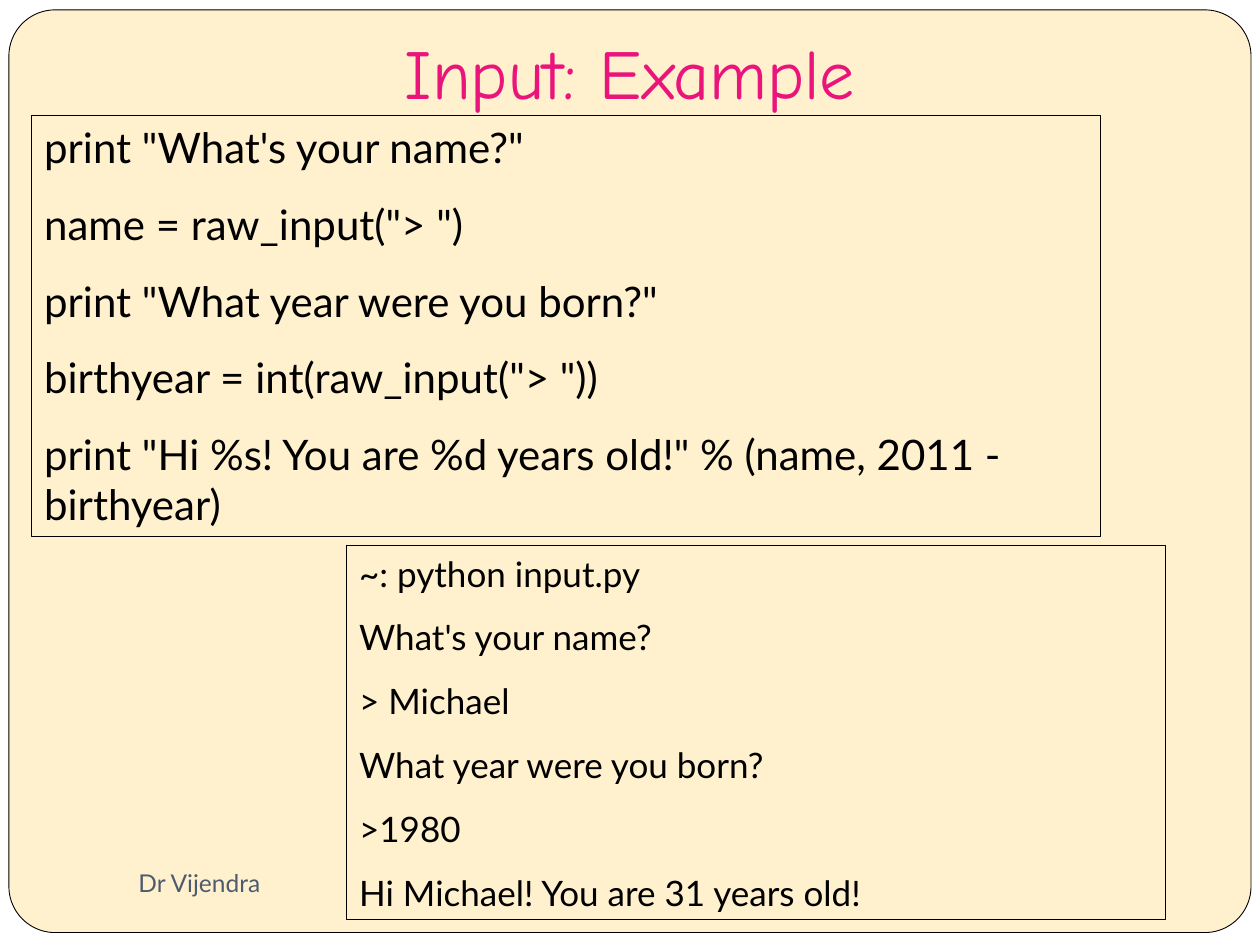
from pptx import Presentation
from pptx.dml.color import RGBColor
from pptx.enum.shapes import MSO_SHAPE as Shape
from pptx.enum.text import MSO_ANCHOR as Anchor, MSO_AUTO_SIZE as AutoSize, PP_ALIGN as Align
from pptx.util import Cm, Pt

WIDTH, HEIGHT = 25.4, 19.05
CREAM, WHITE, BLACK, PINK, SLATE = "FFF1CE", "FFFFFF", "000000", "EA157A", "4E5B6F"

TITLE = "Input: Example"
AUTHOR = "Dr Vijendra"
CODE = [
    'print "What\'s your name?"',
    'name = raw_input("> ")',
    'print "What year were you born?"',
    'birthyear = int(raw_input("> "))',
    'print "Hi %s! You are %d years old!" % (name, 2011 - birthyear)',
]
SESSION = [
    "~: python input.py",
    "What's your name?",
    "> Michael",
    "What year were you born?",
    ">1980",
    "Hi Michael! You are 31 years old!",
]


def color(value):
    return RGBColor.from_string(value)


def add_panel(page, kind, place, fill=None, line_width=None):
    panel = page.shapes.add_shape(kind, *map(Cm, place))
    panel.shadow.inherit = False
    if fill:
        panel.fill.solid()
        panel.fill.fore_color.rgb = color(fill)
    else:
        panel.fill.background()
    if line_width:
        panel.line.color.rgb = color(BLACK)
        panel.line.width = Pt(line_width)
    else:
        panel.line.fill.background()
    return panel


def write(box, lines, size, ink, font="Lato", align=Align.LEFT, anchor=Anchor.TOP, bottom=0.13, spacing=0.625):
    frame = box.text_frame
    frame.word_wrap = True
    frame.auto_size = AutoSize.NONE
    frame.vertical_anchor = anchor
    frame.margin_left = frame.margin_right = Cm(0.25)
    frame.margin_top, frame.margin_bottom = Cm(0.13), Cm(bottom)
    for index, line in enumerate(lines):
        para = frame.add_paragraph() if index else frame.paragraphs[0]
        para.alignment = align
        para.space_before = Pt(size * spacing)
        span = para.add_run()
        span.text = line
        span.font.name = font
        span.font.size = Pt(size)
        span.font.color.rgb = color(ink)


def main():
    deck = Presentation()
    deck.slide_width, deck.slide_height = Cm(WIDTH), Cm(HEIGHT)
    page = deck.slides.add_slide(deck.slide_layouts[6])
    page.background.fill.solid()
    page.background.fill.fore_color.rgb = color(CREAM)

    add_panel(page, Shape.RECTANGLE, (0, 0, WIDTH, HEIGHT), WHITE)
    card = add_panel(page, Shape.ROUNDED_RECTANGLE, (0.18, 0.2, 25.04, 18.6), CREAM, 0.5)
    card.adjustments[0] = 0.05

    title = page.shapes.add_textbox(Cm(1.9), Cm(0.64), Cm(21.6), Cm(1.9))
    write(title, [TITLE], 40, PINK, "Comic Neue", Align.CENTER, Anchor.BOTTOM, 0.25, 0)

    for lines, size, place in (
        (CODE, 24, (0.64, 2.33, 21.54, 8.48)),
        (SESSION, 20, (6.99, 11, 16.51, 7.54)),
    ):
        write(add_panel(page, Shape.RECTANGLE, place, line_width=0.75), lines, size, BLACK)

    author = page.shapes.add_textbox(Cm(2.54), Cm(17.15), Cm(11), Cm(1.27))
    write(author, [AUTHOR], 14, SLATE, anchor=Anchor.MIDDLE)

    deck.save("out.pptx")


if __name__ == "__main__":
    main()
